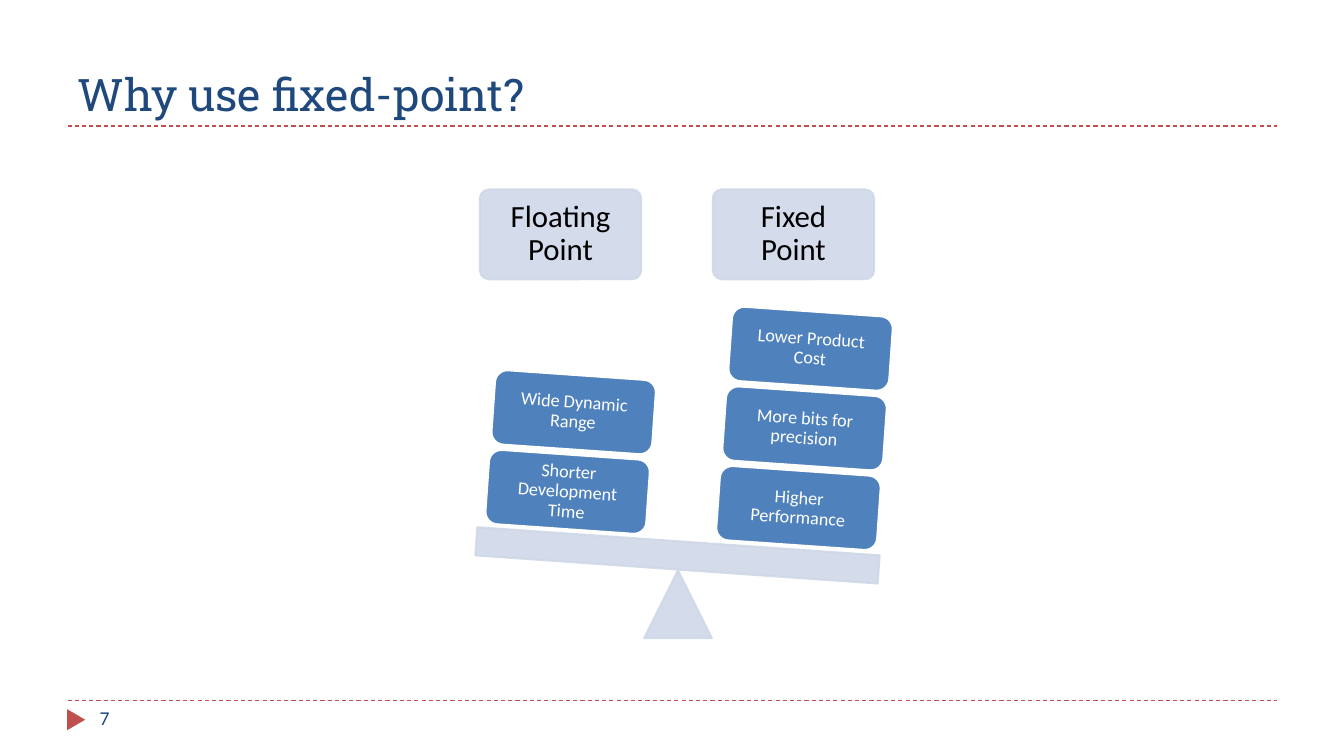
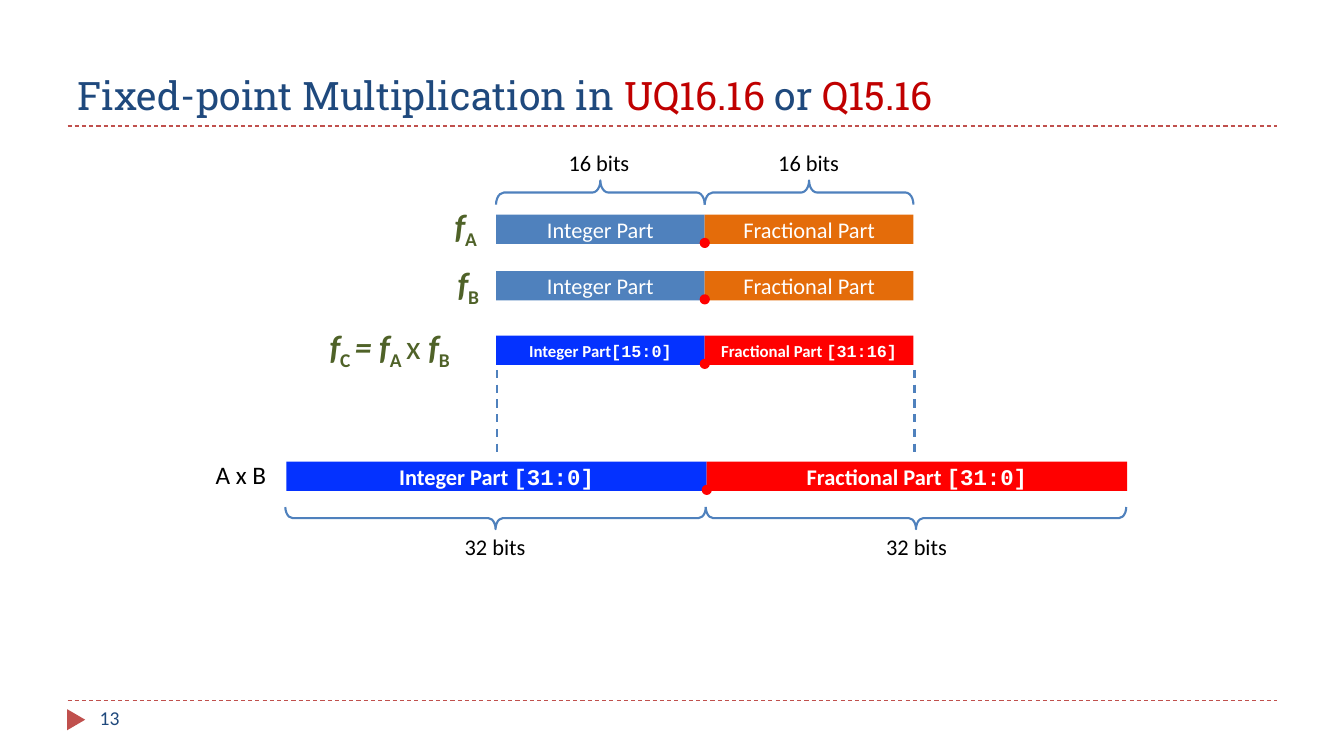
from pptx import Presentation
from pptx.dml.color import RGBColor as Rgb
from pptx.enum.dml import MSO_LINE as Dash
from pptx.enum.shapes import MSO_CONNECTOR as Link, MSO_SHAPE as Kind
from pptx.enum.text import MSO_ANCHOR as Anchor, MSO_AUTO_SIZE as Auto, PP_ALIGN as Align
from pptx.oxml.ns import qn
from pptx.util import Inches, Pt
from lxml.etree import SubElement as Sub

INK = {
    "navy": "1F497D", "brick": "C0504D", "wine": "C00000", "pale": "D0D8E8",
    "blue": "4F81BD", "gold": "E46C0A", "deep": "0432FF", "red": "FF0000",
    "moss": "4F6228", "black": "000000", "white": "FFFFFF",
}
BODY, HEAD, CODE = "Calibri", "Roboto Slab", "Courier New"


def hue(name):
    return Rgb.from_string(INK[name])


def style(font, size, color, name=BODY, bold=None):
    font.size = Pt(size)
    font.name = name
    font.bold = bold
    font.color.rgb = hue(color)


def place(item, x, y, w, h):
    item.left, item.top, item.width, item.height = map(Inches, (x, y, w, h))


def shape(slide, kind, x, y, w, h, fill=None, line=None, turn=0, adj=None):
    item = slide.shapes.add_shape(kind, *map(Inches, (x, y, w, h)))
    item.shadow.inherit = False
    item.rotation = turn
    if adj is not None:
        item.adjustments[0] = adj
    if fill:
        item.fill.solid()
        item.fill.fore_color.rgb = hue(fill)
    else:
        item.fill.background()
    if line:
        item.line.color.rgb = hue(line)
        item.line.width = Pt(1.5)
    else:
        item.line.fill.background()
    return item


def fade(item):
    for tag in item._element.spPr.iter(qn("a:srgbClr")):
        Sub(tag, qn("a:alpha"), val="90000")


def center(item, pad=0.1):
    frame = item.text_frame
    frame.word_wrap = True
    frame.vertical_anchor = Anchor.MIDDLE
    frame.margin_left = frame.margin_right = Inches(pad)
    para = frame.paragraphs[0]
    para.alignment = Align.CENTER
    return para


def dashed(slide, x1, y1, x2, y2, color, width):
    line = slide.shapes.add_connector(Link.STRAIGHT, *map(Inches, (x1, y1, x2, y2)))
    line.line.color.rgb = hue(color)
    line.line.width = Pt(width)
    line.line.dash_style = Dash.DASH
    Sub(line._element.spPr, qn("a:effectLst"))


def label(slide, x, y, w, h, text, size=16, color="black", bold=None):
    box = slide.shapes.add_textbox(*map(Inches, (x, y, w, h)))
    box.text_frame.word_wrap = False
    para = box.text_frame.paragraphs[0]
    style(para.font, size, color, bold=bold)
    if text:
        para.add_run().text = text
    return para


def frame(deck, number, parts, size, box):
    slide = deck.slides.add_slide(deck.slide_layouts[5])
    for y in (1.25, 6.95):
        dashed(slide, 0.67, y, 12.67, y, "brick", 0.75)
    shape(slide, Kind.ISOSCELES_TRIANGLE, 0.65, 7.05, 0.21, 0.18, "brick", turn=90)
    label(slide, 0.89, 6.95, 2.89, 0.4, number, 14, "navy")
    title = slide.shapes.title
    place(title, *box)
    text = title.text_frame
    text.auto_size = Auto.NONE
    text.word_wrap = True
    text.vertical_anchor = Anchor.BOTTOM
    para = text.paragraphs[0]
    para.alignment = Align.LEFT
    style(para.font, size, "navy", HEAD)
    for words, color in parts:
        run = para.add_run()
        run.text = words
        style(run.font, size, color, HEAD)
    return slide


def stack(slide, x, y, names):
    for i, name in enumerate(names):
        block = shape(slide, Kind.ROUNDED_RECTANGLE, x + 0.06 * i, y - 0.79 * i,
                      1.6, 0.74, "blue", "white", 4)
        para = center(block, 0.09)
        para.line_spacing = 0.9
        style(para.font, 13, "white")
        para.add_run().text = name


def scale(slide, x, y):
    for dx, name in ((0.04, "Floating Point"), (2.35, "Fixed Point")):
        card = shape(slide, Kind.ROUNDED_RECTANGLE, x + dx, y, 1.6, 0.89,
                     "pale", "pale", adj=0.1)
        fade(card)
        para = center(card, 0.11)
        para.line_spacing = 0.9
        style(para.font, 22, "black")
        para.add_run().text = name
    fade(shape(slide, Kind.ISOSCELES_TRIANGLE, x + 1.67, y + 3.78, 0.67, 0.67, "pale", "pale"))
    fade(shape(slide, Kind.RECTANGLE, x, y + 3.49, 4, 0.28, "pale", "pale", 4))
    stack(slide, x + 2.4, y + 2.79,
          ("Higher Performance", "More bits for precision", "Lower Product Cost"))
    stack(slide, x + 0.11, y + 2.63, ("Shorter Development Time", "Wide Dynamic Range"))


def bar(slide, x, y, half, colors, size, bits=None):
    bold = True if bits else None
    names = ("Integer Part", "Fractional Part")
    for i, (name, color) in enumerate(zip(names, colors)):
        part = shape(slide, Kind.RECTANGLE, x + i * half, y, half, 0.29, color)
        para = center(part)
        style(para.font, size, "white", bold=bold)
        para.add_run().text = name
        if bits:
            run = para.add_run()
            run.text = bits[i]
            run.font.name = CODE
            para.runs[0].font.name = BODY
            para.runs[0].text = name + ("" if bits[i] == "[15:0]" else " ")
    shape(slide, Kind.OVAL, x + half - 0.04, y + 0.24, 0.08, 0.08, "red", "red")


def brace(slide, x, y, w, h, turn):
    shape(slide, Kind.RIGHT_BRACE, x + (w - h) / 2, y + (h - w) / 2, h, w,
          line="blue", turn=turn, adj=0.327)


def term(slide, x, y, w, parts):
    para = label(slide, x, y, w, 0.5, "", 24, "moss", True)
    for text, mode in parts:
        run = para.add_run()
        run.text = text
        if mode == "sub":
            run._r.get_or_add_rPr().set("baseline", "-25000")
        elif mode == "var":
            run.font.italic = True
        else:
            run.font.bold = False


def product(slide, x, y):
    left, half, wide = x + 2.88, 2.07, 4.17
    start = x + 0.8
    for i in range(2):
        brace(slide, left + i * half, y + 0.36, half, 0.24, 270)
        label(slide, x + 3.5 + 2.08 * i, y, 0.81, 0.37, "16 bits")
        brace(slide, start - 0.01 + i * wide, y + 3.6, wide, 0.22, 90)
        label(slide, x + 2.47 + 4.18 * i, y + 3.81, 0.81, 0.37, "32 bits")
        edge = left + 0.01 + 2 * half * i
        dashed(slide, edge, y + 2.24, edge, y + 3.08, "blue", 1.5)
    inputs, result = ("blue", "gold"), ("deep", "red")
    bar(slide, left, y + 0.7, half, inputs, 16)
    bar(slide, left, y + 1.26, half, inputs, 16)
    bar(slide, left, y + 1.9, half, result, 12, ("[15:0]", "[31:16]"))
    bar(slide, start, y + 3.15, wide, result, 16, ("[31:0]", "[31:0]"))
    term(slide, x + 2.37, y + 0.55, 0.49, (("f", "var"), ("A", "sub")))
    term(slide, x + 2.4, y + 1.13, 0.47, (("f", "var"), ("B", "sub")))
    term(slide, x + 1.13, y + 1.75, 1.72, (
        ("f", "var"), ("C ", "sub"), ("= f", "var"), ("A ", "sub"),
        ("x ", "sign"), ("f", "var"), ("B", "sub")))
    label(slide, x, y + 3.08, 0.78, 0.4, "A x B", 18)


def main():
    deck = Presentation()
    deck.slide_width, deck.slide_height = Inches(13.33), Inches(7.5)
    why = frame(deck, "7", (("Why use fixed-point?", "navy"),), 32, (0.67, 0.17, 12, 1.08))
    scale(why, 4.72, 1.88)
    times = frame(deck, "13", (
        ("Fixed-point Multiplication in ", "navy"), ("UQ16.16", "wine"),
        (" or ", "navy"), ("Q15.16", "wine")), 28, (0.67, 0.14, 9.67, 1.08))
    product(times, 2.04, 1.43)
    deck.save("out.pptx")


if __name__ == "__main__":
    main()
